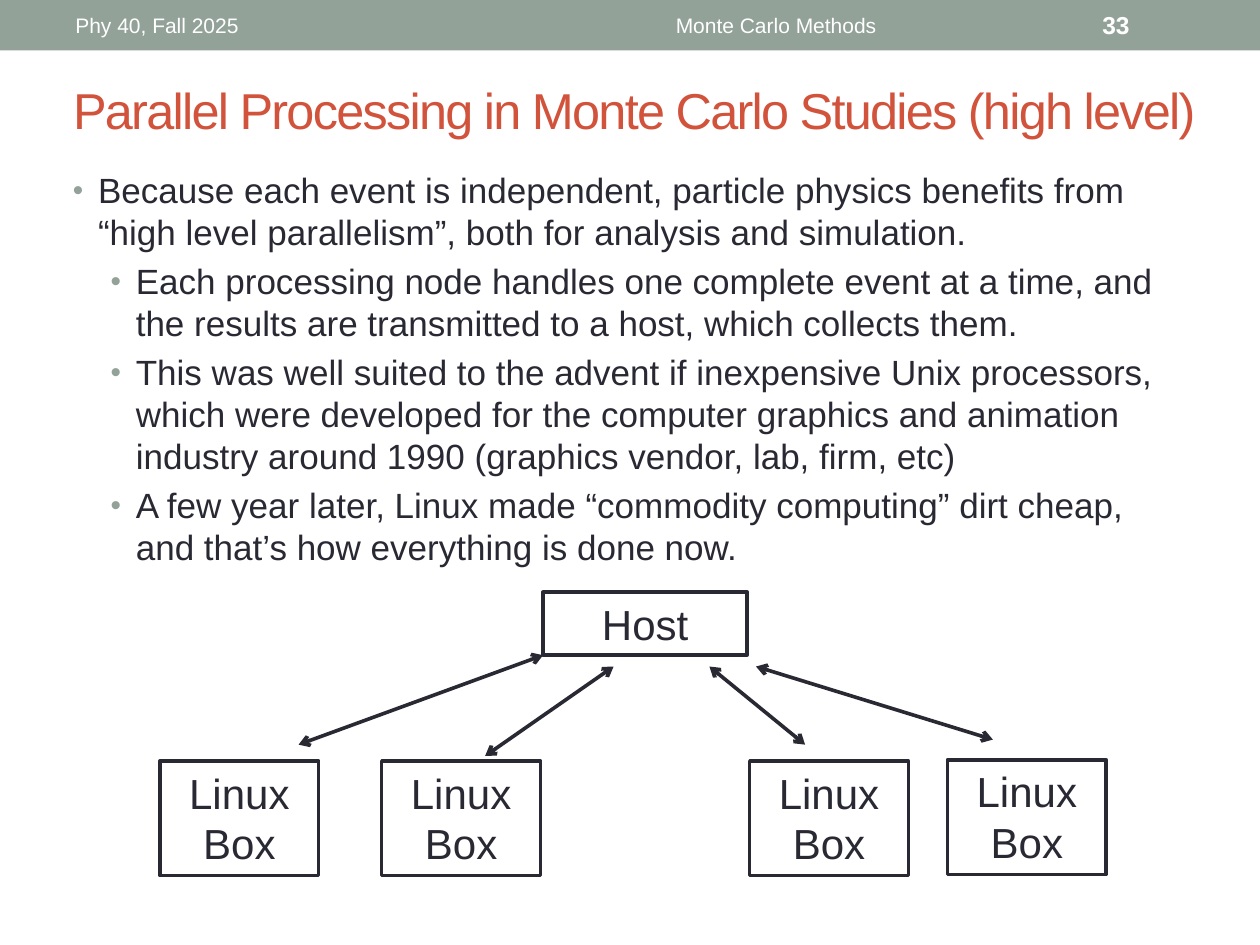
from dataclasses import dataclass

from pptx import Presentation
from pptx import util as u
from pptx.dml.color import RGBColor
from pptx.enum import shapes, text
from pptx.oxml.ns import qn
from lxml import etree

Inches = u.Inches


@dataclass(frozen=True)
class Theme:
    font: str = "Arial"
    ink: str = "292934"
    accent: str = "D2533C"
    band: str = "93A299"
    white: str = "FFFFFF"
    title: float = 28.8
    body: float = 20
    label: float = 24
    header: float = 12
    number: float = 14


THEME = Theme()

POINTS = [
    (0, "Because each event is independent, particle physics benefits from "
        "“high level parallelism”, both for analysis and simulation."),
    (1, "Each processing node handles one complete event at a time, and the "
        "results are transmitted to a host, which collects them."),
    (1, "This was well suited to the advent if inexpensive Unix processors, "
        "which were developed for the computer graphics and animation "
        "industry around 1990 (graphics vendor, lab, firm, etc)"),
    (1, "A few year later, Linux made “commodity computing” dirt cheap, "
        "and that’s how everything is done now."),
]


def write(paragraph, words, size, color=THEME.ink, bold=False,
          align=text.PP_ALIGN.LEFT, spacing=None):
    """Put formatted words into a paragraph."""
    paragraph.alignment = align
    run = paragraph.add_run()
    run.text = words
    run.font.name = THEME.font
    run.font.size = u.Pt(size)
    run.font.bold = bold
    run.font.color.rgb = RGBColor.from_string(color)
    if spacing is not None:
        run.font._element.set("spc", str(round(spacing * 100)))


def add_bullet(paragraph, indent, hanging):
    props = paragraph._p.get_or_add_pPr()
    props.set("marL", str(Inches(indent)))
    props.set("indent", str(-Inches(hanging)))
    color = etree.SubElement(props, qn("a:buClr"))
    etree.SubElement(color, qn("a:srgbClr"), val=THEME.band)
    etree.SubElement(props, qn("a:buSzPct"), val="85000")
    etree.SubElement(props, qn("a:buFont"), typeface=THEME.font)
    etree.SubElement(props, qn("a:buChar"), char="•")


def add_rectangle(slide, left, top, width, height):
    rectangle = slide.shapes.add_shape(
        shapes.MSO_SHAPE.RECTANGLE,
        Inches(left), Inches(top), Inches(width), Inches(height))
    rectangle.shadow.inherit = False
    return rectangle


def add_text_frame(slide, left, top, width, height, anchor):
    frame = slide.shapes.add_textbox(
        Inches(left), Inches(top), Inches(width), Inches(height)).text_frame
    frame.word_wrap = True
    frame.vertical_anchor = anchor
    return frame


def add_header(slide, left, top, width, height):
    band = add_rectangle(slide, left, top, width, height)
    band.fill.solid()
    band.fill.fore_color.rgb = RGBColor.from_string(THEME.band)
    band.line.fill.background()

    entries = [
        (0.5, 3.17, "Phy 40, Fall 2025", dict(size=THEME.header)),
        (3.75, 4.82, "Monte Carlo Methods",
         dict(size=THEME.header, align=text.PP_ALIGN.CENTER)),
        (8.65, 0.85, "33", dict(size=THEME.number, bold=True)),
    ]
    for offset, entry_width, words, style in entries:
        frame = add_text_frame(slide, left + offset, top + 0.02, entry_width,
                               height - 0.04, text.MSO_ANCHOR.MIDDLE)
        write(frame.paragraphs[0], words, color=THEME.white, **style)


def add_title(slide, left, top, width, height):
    title = slide.shapes.title
    title.left, title.top = Inches(left), Inches(top)
    title.width, title.height = Inches(width), Inches(height)
    frame = title.text_frame
    frame.word_wrap = True
    frame.auto_size = text.MSO_AUTO_SIZE.NONE
    frame.vertical_anchor = text.MSO_ANCHOR.MIDDLE
    write(frame.paragraphs[0],
          "Parallel Processing in Monte Carlo Studies (high level)",
          THEME.title, color=THEME.accent, spacing=-1)


def add_points(slide, left, top, width, height):
    frame = add_text_frame(slide, left, top, width, height,
                           text.MSO_ANCHOR.TOP)
    for index, (level, words) in enumerate(POINTS):
        point = frame.add_paragraph() if index else frame.paragraphs[0]
        point.level = level
        add_bullet(point, indent=0.2 + 0.3 * level, hanging=0.2)
        if index:
            point.space_before = u.Pt(0.2 * THEME.body)
        write(point, words, THEME.body)


def add_machine(slide, words, left, top, width, height):
    machine = add_rectangle(slide, left, top, width, height)
    machine.fill.background()
    machine.line.color.rgb = RGBColor.from_string(THEME.ink)
    machine.line.width = u.Pt(2)
    frame = machine.text_frame
    frame.word_wrap = True
    frame.auto_size = text.MSO_AUTO_SIZE.SHAPE_TO_FIT_TEXT
    frame.vertical_anchor = text.MSO_ANCHOR.TOP
    write(frame.paragraphs[0], words, THEME.label,
          align=text.PP_ALIGN.CENTER)


def add_link(slide, start, end):
    """Draw a line with an open arrowhead at each end."""
    link = slide.shapes.add_connector(
        shapes.MSO_CONNECTOR.STRAIGHT, *map(Inches, start + end))
    link.line.color.rgb = RGBColor.from_string(THEME.ink)
    link.line.width = u.Pt(2.08)
    outline = link.line._get_or_add_ln()
    for tip in ("a:headEnd", "a:tailEnd"):
        etree.SubElement(outline, qn(tip), type="arrow")
    etree.SubElement(link._element.spPr, qn("a:effectLst"))


def add_network(slide, left, top):
    add_machine(slide, "Host", left + 3.04, top, 1.62, 0.5)
    # Linux boxes under the host
    for x, y in [(0, 1.34), (1.76, 1.34), (4.68, 1.34), (6.25, 1.33)]:
        add_machine(slide, "Linux Box", left + x, top + y, 1.26, 0.91)
    # Links from the host to the boxes
    links = [
        ((3.04, 0.5), (1.1, 1.21)),
        ((3.6, 0.59), (2.58, 1.3)),
        ((4.36, 0.59), (5.12, 1.21)),
        ((4.73, 0.59), (6.61, 1.17)),
    ]
    for host_end, box_end in links:
        add_link(slide, (left + host_end[0], top + host_end[1]),
                 (left + box_end[0], top + box_end[1]))


def main():
    deck = Presentation()
    deck.slide_width, deck.slide_height = Inches(10), Inches(7.5)
    slide = deck.slides.add_slide(deck.slide_layouts.get_by_name("Title Only"))
    add_header(slide, 0, 0, 10, 0.4)
    add_title(slide, 0.48, 0.52, 9.27, 0.69)
    add_points(slide, 0.48, 1.29, 9, 5.95)
    add_network(slide, 1.27, 4.7)
    deck.save("out.pptx")


if __name__ == "__main__":
    main()
